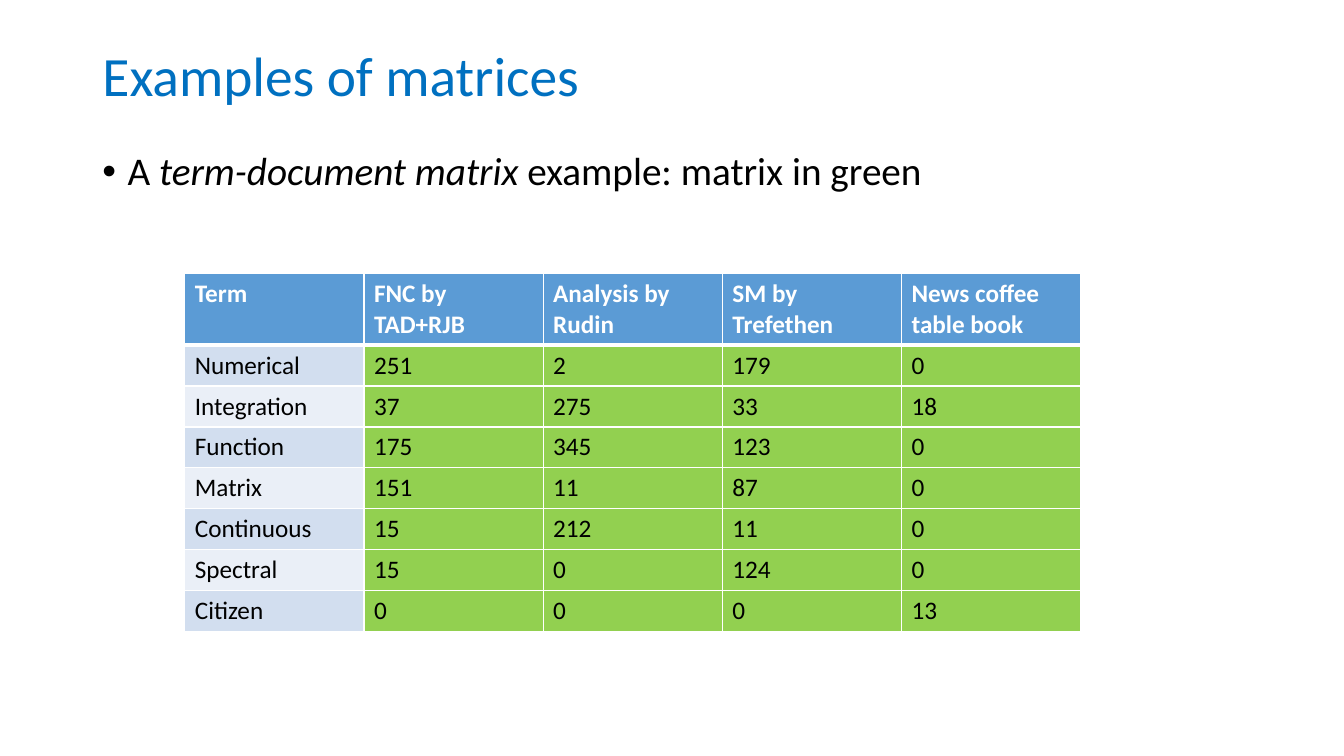
import pptx
import pptx.dml.color
import pptx.enum.text
import pptx.oxml
import pptx.oxml.ns
import pptx.util

Pt = pptx.util.Pt
COLORS = {
    "title": "0070C0", "text": "000000", "white": "FFFFFF", "header": "5B9BD5",
    "odd": "D2DEEF", "even": "EAEFF7", "matrix": "92D050",
}
FORMATS = {
    "title": {"name": "Calibri", "size": Pt(39.6), "bold": False},
    "body": {"name": "Calibri", "size": Pt(28), "bold": False},
    "header": {"name": "Calibri", "size": Pt(18), "bold": True},
    "cell": {"name": "Calibri", "size": Pt(18), "bold": False},
}
HEADINGS = ["Term", "FNC by TAD+RJB", "Analysis by Rudin", "SM by Trefethen",
            "News coffee table book"]
COUNTS = {
    "Numerical": [251, 2, 179, 0],
    "Integration": [37, 275, 33, 18],
    "Function": [175, 345, 123, 0],
    "Matrix": [151, 11, 87, 0],
    "Continuous": [15, 212, 11, 0],
    "Spectral": [15, 0, 124, 0],
    "Citizen": [0, 0, 0, 13],
}


def rgb(color):
    """Return the named colour."""
    return pptx.dml.color.RGBColor.from_string(COLORS[color])


def set_font(font, style, color):
    """Apply a format and a colour to a font."""
    for key, value in FORMATS[style].items():
        setattr(font, key, value)
    font.color.rgb = rgb(color)


def place(sp, box, anchor):
    """Move a placeholder to its box and return its text frame."""
    for key, value in zip(("left", "top", "width", "height"), box):
        setattr(sp, key, Pt(value))
    tf = sp.text_frame
    settings = {"word_wrap": True, "vertical_anchor": anchor,
                "auto_size": pptx.enum.text.MSO_AUTO_SIZE.NONE}
    for key, value in settings.items():
        setattr(tf, key, value)
    return tf


def add_title(s, box):
    """Fill the title placeholder."""
    p = place(s.shapes.title, box, pptx.enum.text.MSO_ANCHOR.MIDDLE).paragraphs[0]
    p.alignment = pptx.enum.text.PP_ALIGN.LEFT
    p.line_spacing = 0.9
    r = p.add_run()
    r.text = "Examples of matrices"
    set_font(r.font, "title", "title")


def add_body(s, box):
    """Fill the body placeholder with one bullet."""
    p = place(s.placeholders[1], box, pptx.enum.text.MSO_ANCHOR.TOP).paragraphs[0]
    pPr = p._p.get_or_add_pPr()
    pPr.set("marL", str(Pt(18)))
    pPr.set("indent", str(-Pt(18)))
    p.line_spacing = 0.9
    p.space_before = Pt(0)
    for text, italic in (("A ", False), ("term-document matrix ", True),
                         ("example: matrix in green", False)):
        r = p.add_run()
        r.text = text
        set_font(r.font, "body", "text")
        r.font.italic = italic


def add_borders(cell, widths):
    """Draw white cell borders, given a width for each side."""
    tcPr = cell._tc.get_or_add_tcPr()
    for side, width in widths.items():
        tcPr.append(pptx.oxml.parse_xml(
            f'<a:ln{side} {pptx.oxml.ns.nsdecls("a")} w="{Pt(width)}"><a:solidFill>'
            f'<a:srgbClr val="{COLORS["white"]}"/></a:solidFill></a:ln{side}>'))


def add_matrix(s, box, header_height):
    """Add the term-document table."""
    left, top, width, height = box
    rows = [HEADINGS] + [[term, *counts] for term, counts in COUNTS.items()]
    tbl = s.shapes.add_table(len(rows), len(HEADINGS), *map(Pt, box)).table
    for col in tbl.columns:
        col.width = Pt(width / len(HEADINGS))
    for i, values in enumerate(rows):
        tbl.rows[i].height = Pt((height - header_height) / len(COUNTS) if i else header_height)
        for j, value in enumerate(values):
            cell = tbl.cell(i, j)
            add_borders(cell, {"L": 1, "R": 1, "T": 3 if i == 1 else 1, "B": 1 if i else 3})
            if i == 0:
                fill = "header"
            elif j:
                fill = "matrix"
            else:
                fill = "odd" if i % 2 else "even"
            cell.fill.solid()
            cell.fill.fore_color.rgb = rgb(fill)
            r = cell.text_frame.paragraphs[0].add_run()
            r.text = str(value)
            set_font(r.font, "cell" if i else "header", "text" if i else "white")


def main():
    """Build and save the slide."""
    prs = pptx.Presentation()
    prs.slide_width, prs.slide_height = Pt(960), Pt(540)
    s = prs.slides.add_slide(prs.slide_layouts[1])
    add_title(s, (66, 28.75, 410, 54.5))
    add_body(s, (66, 105, 828, 381))
    add_matrix(s, (132, 195.4, 640, 255), 50.8)
    prs.save("out.pptx")


if __name__ == "__main__":
    main()
